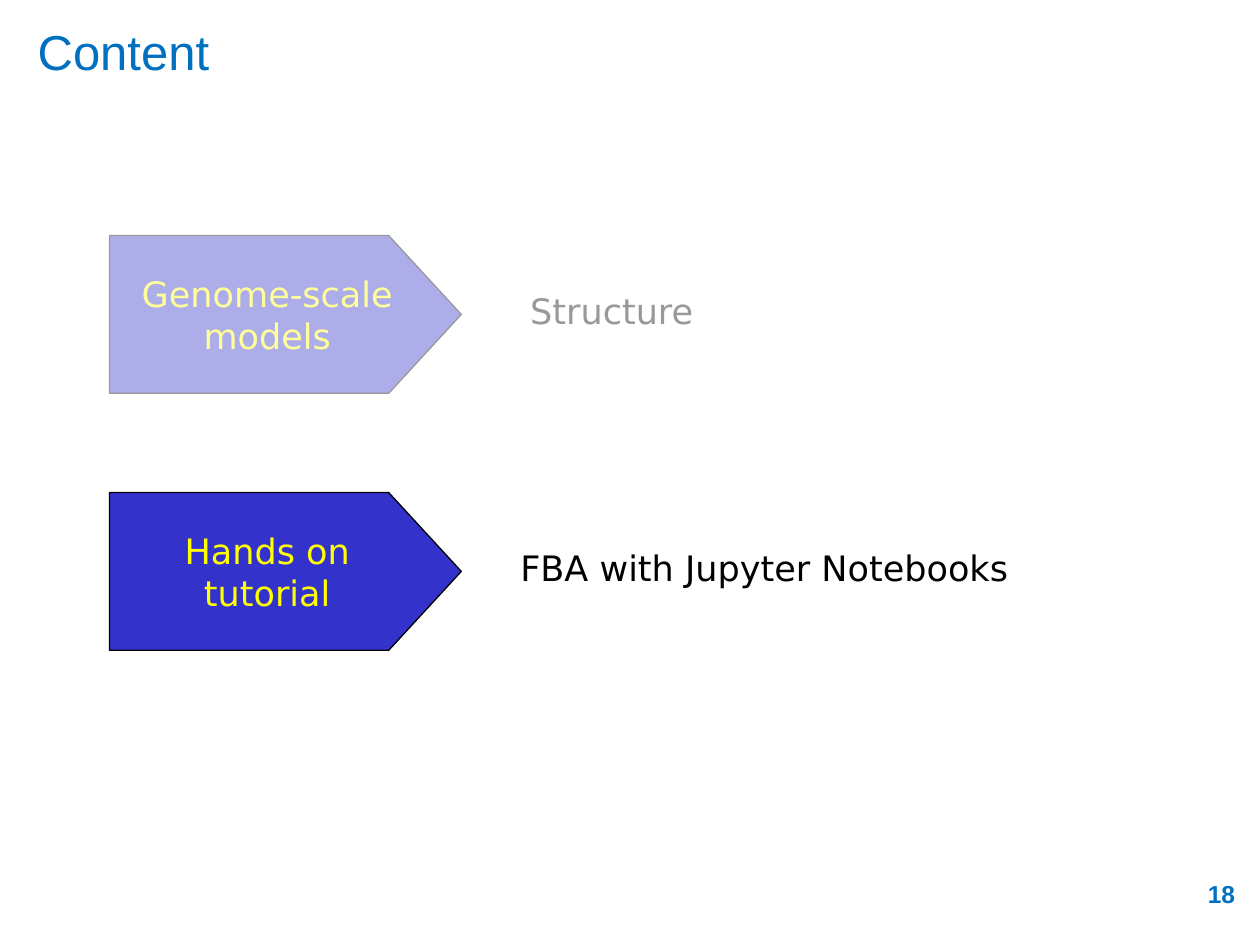
from lxml import etree
from pptx import Presentation
from pptx.dml.color import RGBColor
from pptx.enum.shapes import MSO_SHAPE
from pptx.enum.text import MSO_ANCHOR, MSO_AUTO_SIZE, PP_ALIGN
from pptx.oxml.ns import qn
from pptx.util import Cm, Pt

PENTAGON, RECTANGLE = MSO_SHAPE.PENTAGON, MSO_SHAPE.RECTANGLE
TOP, MIDDLE = MSO_ANCHOR.TOP, MSO_ANCHOR.MIDDLE
LEFT, CENTER, RIGHT = PP_ALIGN.LEFT, PP_ALIGN.CENTER, PP_ALIGN.RIGHT
GROW, NO_FIT = MSO_AUTO_SIZE.SHAPE_TO_FIT_TEXT, MSO_AUTO_SIZE.NONE


def rgb(value):
    return RGBColor.from_string(value)


def write(tf, text, size, font, color, align=LEFT, bold=False):
    tf.text = text
    tf.word_wrap = True
    p = tf.paragraphs[0]
    p.alignment = align
    r = p.runs[0]
    r.font.size = Pt(size)
    r.font.name = font
    r.font.bold = bold
    r.font.color.rgb = rgb(color)
    return p


prs = Presentation()
prs.slide_width, prs.slide_height = Cm(25.4), Cm(19.05)
s = prs.slides.add_slide(prs.slide_layouts[5])

title = s.shapes.title
title.left, title.top, title.width, title.height = Cm(0.76), Cm(0.3), Cm(17.8), Cm(1.6)
tf = title.text_frame
tf.auto_size = NO_FIT
tf.vertical_anchor = TOP
tf.margin_left = tf.margin_right = tf.margin_bottom = 0
tf.margin_top = Cm(0.13)
write(tf, "Content", 28, "Arial", "0070C0")

number = s.shapes.add_textbox(Cm(19.23), Cm(17.6), Cm(5.92), Cm(1.32))
write(number.text_frame, "18", 14, "Arial", "0070C0", RIGHT, True)

topics = [
    (4.75, "Genome-scale models", 10.44, "Structure"),
    (9.93, "Hands on tutorial", 10.24, "FBA with Jupyter Notebooks"),
]
for top, topic, detail_left, detail in topics:
    arrow = s.shapes.add_shape(PENTAGON, Cm(2.21), Cm(top), Cm(7.09), Cm(3.18))
    arrow.adjustments[0] = 0.46
    arrow.shadow.inherit = False
    arrow.fill.solid()
    arrow.fill.fore_color.rgb = rgb("3333CC")
    arrow.line.color.rgb = rgb("000000")
    arrow.line.width = Pt(0.75)
    arrow.text_frame.vertical_anchor = MIDDLE
    write(arrow.text_frame, topic, 20, "DejaVu Sans", "FFFF00", CENTER)

    box = s.shapes.add_textbox(Cm(detail_left), Cm(top + 1.12), Cm(13.08), Cm(0.94))
    p = write(box.text_frame, detail, 20, "DejaVu Sans", "000000")
    p.line_spacing = 0.8
    box.text_frame.auto_size = GROW

veil = s.shapes.add_shape(RECTANGLE, Cm(1.8), Cm(3.18), Cm(22.71), Cm(6.45))
veil.shadow.inherit = False
veil.line.fill.background()
veil.fill.solid()
veil.fill.fore_color.rgb = rgb("FFFFFF")
color = veil.fill._xPr.find(qn("a:solidFill"))[0]
etree.SubElement(color, qn("a:alpha")).set("val", "60000")

prs.save("out.pptx")
